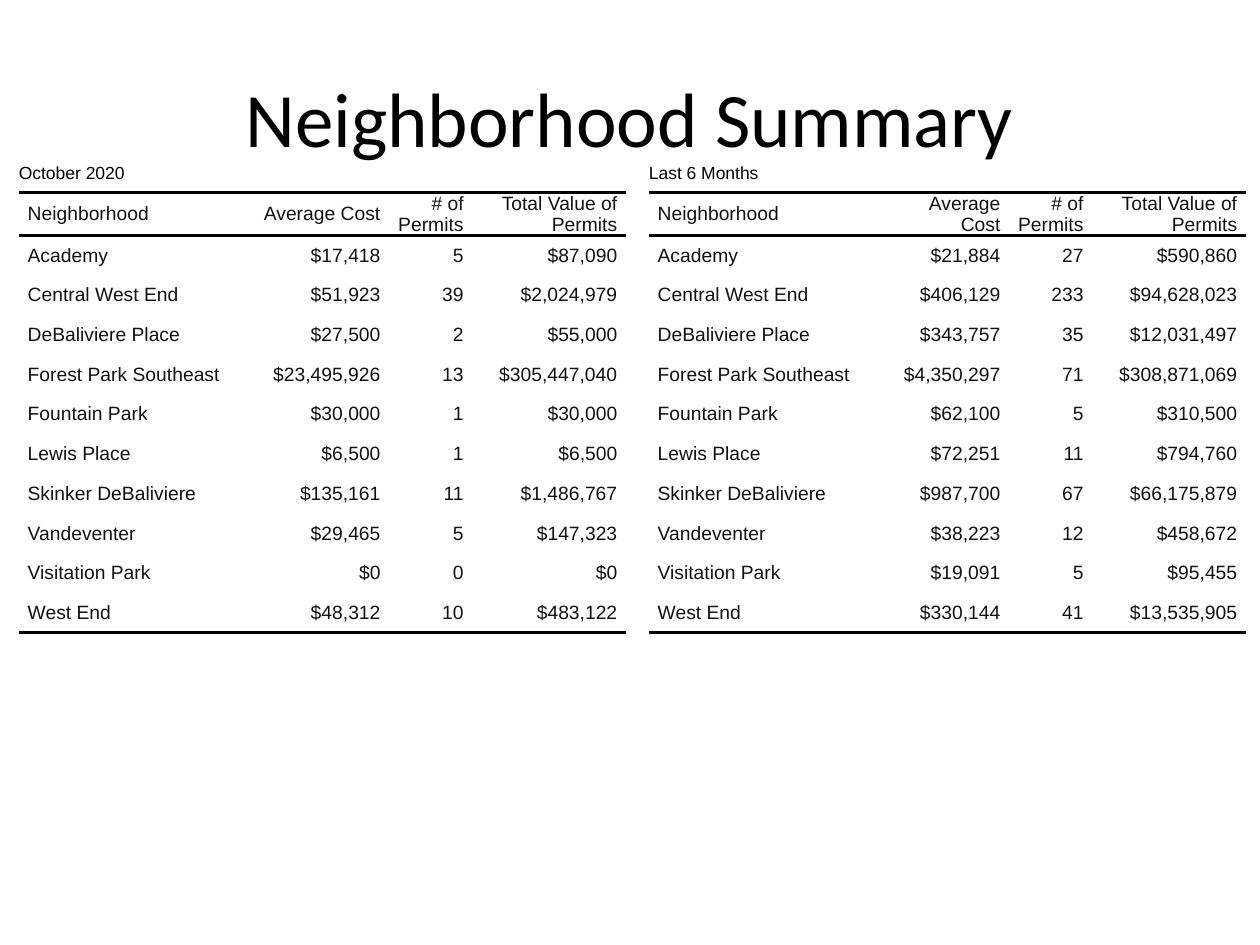
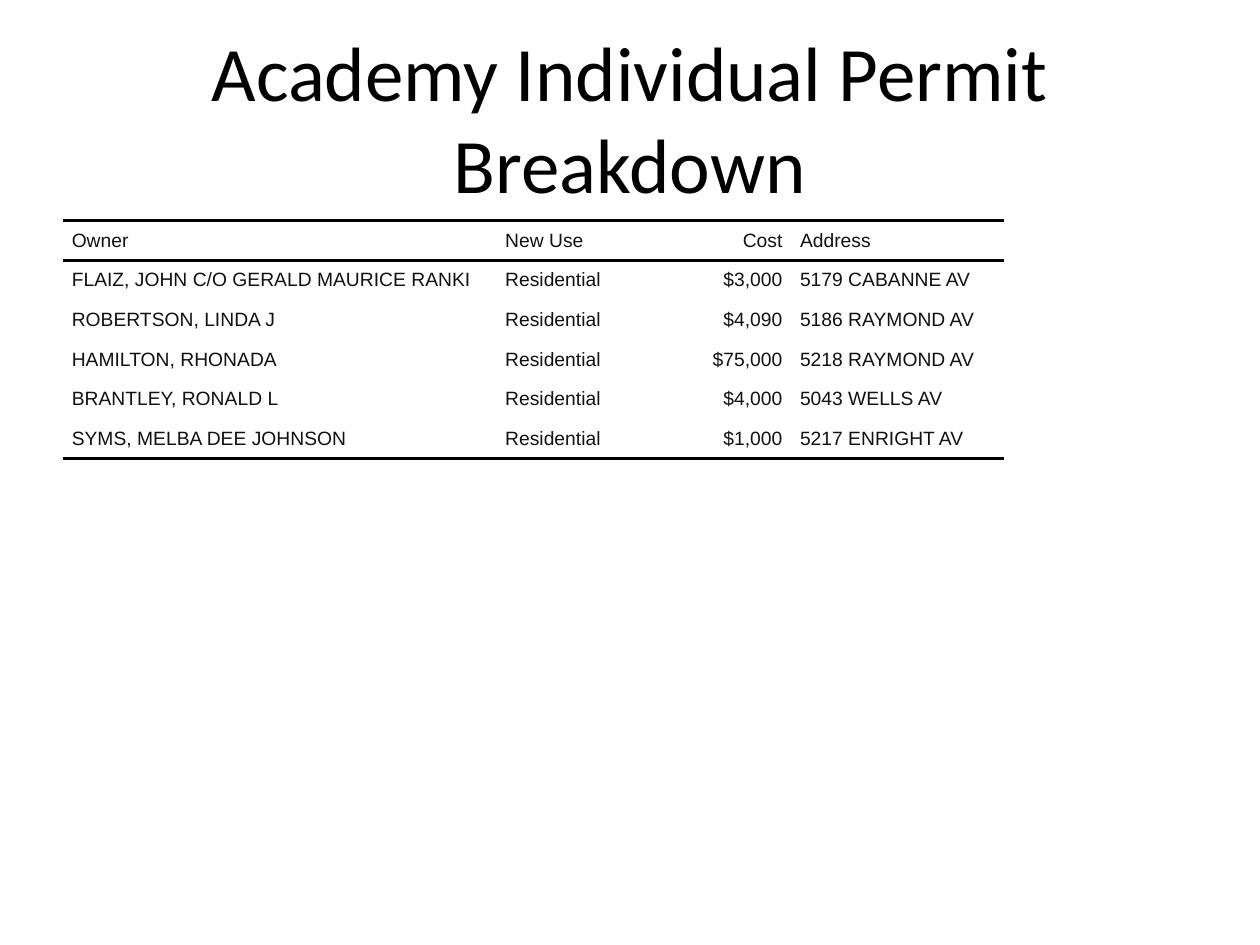
from lxml import etree
from pptx import Presentation
from pptx import util as u
from pptx.dml.color import RGBColor
from pptx.enum import text
from pptx.oxml import ns

BLACK = RGBColor(0x00, 0x00, 0x00)
INK = RGBColor(0x11, 0x11, 0x11)
PLAIN = "{2D5ABB26-0587-4C30-8999-92F81FD0307C}"
STEP = u.Inches(0.63) // 2
TITLE = {"name": "Calibri", "size": u.Pt(44)}
LABEL = {"name": "Arial", "size": u.Pt(10)}
BODY = {"name": "Arial", "size": u.Pt(11)}
LEFT, RIGHT = text.PP_ALIGN.LEFT, text.PP_ALIGN.RIGHT


def style(para, form, ink, align):
    para.alignment = align
    for key, val in form.items():
        setattr(para.font, key, val)
    para.font.color.rgb = ink


def rule(cell, side):
    props = cell._tc.get_or_add_tcPr()
    line = etree.SubElement(props, ns.qn("a:" + side), w=str(u.Pt(2)))
    fill = etree.SubElement(line, ns.qn("a:solidFill"))
    etree.SubElement(fill, ns.qn("a:srgbClr"), val=str(BLACK))


heads = ("Neighborhood", "Average Cost", "# of Permits", "Total Value of Permits")
areas = (
    "Academy", "Central West End", "DeBaliviere Place", "Forest Park Southeast",
    "Fountain Park", "Lewis Place", "Skinker DeBaliviere", "Vandeventer",
    "Visitation Park", "West End",
)
month = (
    ("$17,418", "5", "$87,090"),
    ("$51,923", "39", "$2,024,979"),
    ("$27,500", "2", "$55,000"),
    ("$23,495,926", "13", "$305,447,040"),
    ("$30,000", "1", "$30,000"),
    ("$6,500", "1", "$6,500"),
    ("$135,161", "11", "$1,486,767"),
    ("$29,465", "5", "$147,323"),
    ("$0", "0", "$0"),
    ("$48,312", "10", "$483,122"),
)
half = (
    ("$21,884", "27", "$590,860"),
    ("$406,129", "233", "$94,628,023"),
    ("$343,757", "35", "$12,031,497"),
    ("$4,350,297", "71", "$308,871,069"),
    ("$62,100", "5", "$310,500"),
    ("$72,251", "11", "$794,760"),
    ("$987,700", "67", "$66,175,879"),
    ("$38,223", "12", "$458,672"),
    ("$19,091", "5", "$95,455"),
    ("$330,144", "41", "$13,535,905"),
)
permits = [
    ("Owner", "New Use", "Cost", "Address"),
    ("FLAIZ, JOHN C/O GERALD MAURICE RANKI", "Residential", "$3,000", "5179 CABANNE AV"),
    ("ROBERTSON, LINDA J", "Residential", "$4,090", "5186 RAYMOND AV"),
    ("HAMILTON, RHONADA", "Residential", "$75,000", "5218 RAYMOND AV"),
    ("BRANTLEY, RONALD L", "Residential", "$4,000", "5043 WELLS AV"),
    ("SYMS, MELBA DEE JOHNSON", "Residential", "$1,000", "5217 ENRIGHT AV"),
]
totals = [
    [heads] + [(area, *nums) for area, nums in zip(areas, data)]
    for data in (month, half)
]

pages = (
    ("Neighborhood Summary", (
        (0.15, 1.22, "October 2020", (1.81, 1.13, 0.66, 1.22), (1, 2, 3), totals[0]),
        (5.15, 1.22, "Last 6 Months", (1.81, 1.05, 0.66, 1.22), (1, 2, 3), totals[1]),
    )),
    ("Academy Individual Permit Breakdown", (
        (0.5, 1.75, None, (3.44, 1.04, 1.3, 1.69), (2,), permits),
    )),
)

deck = Presentation()
deck.slide_width, deck.slide_height = u.Inches(10), u.Inches(7.5)

for name, grids in pages:
    slide = deck.slides.add_slide(deck.slide_layouts[5])
    title = slide.shapes.title
    title.left, title.top = u.Inches(0.5), u.Inches(0.3)
    title.width, title.height = u.Inches(9), u.Inches(1.25)
    title.text_frame.text = name
    title.text_frame.vertical_anchor = text.MSO_ANCHOR.MIDDLE
    style(title.text_frame.paragraphs[0], TITLE, BLACK, text.PP_ALIGN.CENTER)

    for left, top, label, widths, money, rows in grids:
        first = 1 if label else 0
        count = len(rows) + first
        frame = slide.shapes.add_table(
            count, len(widths), u.Inches(left), u.Inches(top),
            u.Inches(sum(widths)), STEP * count)
        table = frame.table
        table.first_row = table.horz_banding = False
        table._tbl.tblPr.find(ns.qn("a:tableStyleId")).text = PLAIN
        for col, width in zip(table.columns, widths):
            col.width = u.Inches(width)
        for row in table.rows:
            row.height = STEP
        for cell in table.iter_cells():
            cell.margin_left = cell.margin_right = 0
            cell.margin_top = cell.margin_bottom = 0
            cell.vertical_anchor = text.MSO_ANCHOR.MIDDLE
        if label:
            for row in list(table.rows)[:2]:
                row.height = u.Inches(0.31)
            top_cell = table.cell(0, 0)
            top_cell.merge(table.cell(0, len(widths) - 1))
            top_cell.text = label
            style(top_cell.text_frame.paragraphs[0], LABEL, BLACK, LEFT)

        for r, row in enumerate(rows):
            for c, value in enumerate(row):
                cell = table.cell(r + first, c)
                cell.text = value
                cell.margin_left = cell.margin_right = u.Inches(0.07)
                style(cell.text_frame.paragraphs[0], BODY, INK,
                      RIGHT if c in money else LEFT)
                if r == 0:
                    rule(cell, "lnT")
                if r in (0, len(rows) - 1):
                    rule(cell, "lnB")
        for cell in table.iter_cells():
            cell.fill.background()

deck.save("out.pptx")
